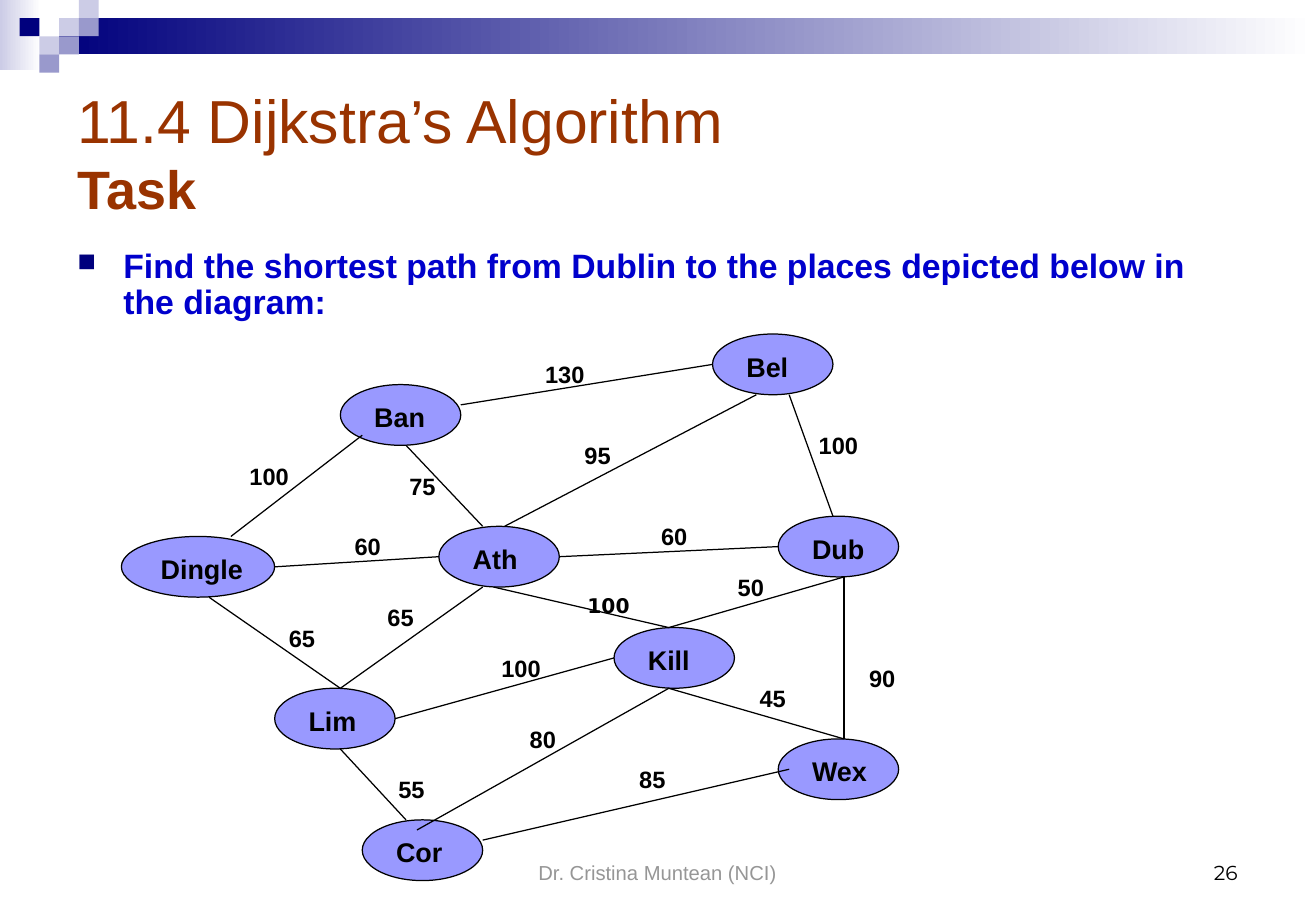
from dataclasses import dataclass

from lxml import etree
from pptx import Presentation
from pptx.dml.color import RGBColor
from pptx.enum.shapes import MSO_CONNECTOR, MSO_SHAPE
from pptx.enum.text import MSO_ANCHOR, PP_ALIGN
from pptx.oxml.ns import qn
from pptx.shapes.autoshape import Shape
from pptx.slide import Slide
from pptx.text.text import TextFrame
from pptx.util import Cm, Pt

RECTANGLE, OVAL = MSO_SHAPE.RECTANGLE, MSO_SHAPE.OVAL
STRAIGHT = MSO_CONNECTOR.STRAIGHT
LEFT, CENTER, RIGHT = PP_ALIGN.LEFT, PP_ALIGN.CENTER, PP_ALIGN.RIGHT
TOP, MIDDLE, BOTTOM = MSO_ANCHOR.TOP, MSO_ANCHOR.MIDDLE, MSO_ANCHOR.BOTTOM

COLORS = {
    "navy": "00007D",
    "lavender": "9999CC",
    "pale": "CCCCE6",
    "white": "FFFFFF",
    "black": "000000",
    "gray": "969696",
    "title": "993300",
    "task": "0000CC",
    "town": "9999FF",
}

TILE_WIDTH, TILE_HEIGHT = Cm(1.65) / 4, Cm(0.38)
GRAPH_LEFT = Cm(2.54)
COLUMN, ROW = Cm(2.29) / 10, Cm(2.54) / 12
TOWN_ROWS, WEIGHT_COLUMNS = 6, 7
LINE_WIDTH = Pt(0.74)


@dataclass(frozen=True)
class Tile:
    column: int
    row: int
    color: str


@dataclass(frozen=True)
class Town:
    name: str
    column: int
    row: int
    columns: int = 11
    indent: float = 2


@dataclass(frozen=True)
class Road:
    start: tuple[int, int]
    end: tuple[int, int]
    distance: int
    label: tuple[int, int]
    font: str = "Arial"
    size: int = 14


TILES = [
    Tile(3, 1, "pale"),
    Tile(4, 0, "pale"),
    Tile(4, 1, "lavender"),
    Tile(2, 2, "pale"),
    Tile(1, 1, "navy"),
    Tile(3, 2, "lavender"),
    Tile(2, 3, "lavender"),
]

TOWNS = [
    Town("Dub", 60, 51),
    Town("Bel", 54, 33),
    Town("Wex", 60, 73),
    Town("Kill", 45, 62),
    Town("Ath", 29, 52),
    Town("Cor", 22, 81),
    Town("Dingle", 0, 53, 14, 2.5),
    Town("Ban", 20, 38),
    Town("Lim", 14, 68),
]

ROADS = [
    Road((65, 51), (61, 39), 100, (62, 42)),
    Road((31, 40), (54, 36), 130, (37, 35)),
    Road((58, 39), (35, 52), 95, (40, 43)),
    Road((22, 43), (10, 53), 100, (10, 45)),
    Road((26, 44), (33, 52), 75, (24, 46)),
    Road((8, 59), (20, 68), 65, (13, 61)),
    Road((33, 58), (20, 68), 65, (22, 59)),
    Road((29, 55), (14, 56), 60, (19, 52)),
    Road((60, 54), (40, 55), 60, (47, 51)),
    Road((66, 57), (50, 62), 50, (54, 56)),
    Road((45, 65), (25, 71), 100, (33, 64)),
    Road((50, 62), (34, 58), 100, (41, 58), "DejaVu Sans", 12),
    Road((66, 73), (50, 68), 45, (56, 67)),
    Road((50, 68), (27, 82), 80, (35, 71)),
    Road((61, 76), (33, 83), 85, (45, 75)),
    Road((66, 57), (66, 73), 90, (66, 65)),
    Road((20, 74), (26, 81), 55, (23, 76)),
]


def rgb(name: str) -> RGBColor:
    return RGBColor.from_string(COLORS[name])


def graph_point(column: float, row: float) -> tuple[int, int]:
    return round(GRAPH_LEFT + column * COLUMN), round(row * ROW)


def add_plain_shape(page: Slide, kind: MSO_SHAPE, left: float, top: float,
                    width: float, height: float, color: str) -> Shape:
    shape = page.shapes.add_shape(kind, *map(round, (left, top, width, height)))
    shape.shadow.inherit = False
    shape.fill.solid()
    shape.fill.fore_color.rgb = rgb(color)
    shape.line.fill.background()
    return shape


def add_fade(page: Slide, left: float, top: float, width: float, height: float, color: str) -> None:
    fill = add_plain_shape(page, RECTANGLE, left, top, width, height, color).fill
    fill.gradient()
    fill.gradient_angle = 0
    for stop, name in zip(fill.gradient_stops, (color, "white")):
        stop.color.rgb = rgb(name)


def add_text(page: Slide, text: str, left: float, top: float, width: float, height: float,
             size: int, color: str = "black", font: str = "Arial", bold: bool = False,
             align: PP_ALIGN = LEFT, anchor: MSO_ANCHOR = TOP) -> TextFrame:
    box = page.shapes.add_textbox(*map(round, (left, top, width, height)))
    frame = box.text_frame
    frame.word_wrap = True
    frame.vertical_anchor = anchor
    para = frame.paragraphs[0]
    para.text = text
    para.alignment = align
    para.font.name = font
    para.font.size = Pt(size)
    para.font.bold = bold
    para.font.color.rgb = rgb(color)
    return frame


def add_square_bullet(frame: TextFrame) -> None:
    para = frame.paragraphs[0]
    para.line_spacing = 0.9
    para.space_before = Pt(5)
    properties = para._p.get_or_add_pPr()
    properties.set("marL", str(Cm(0.96)))
    properties.set("indent", str(-Cm(0.96)))
    following = properties.find(qn("a:defRPr"))
    bullet_color = etree.Element(qn("a:buClr"))
    etree.SubElement(bullet_color, qn("a:srgbClr"), val=COLORS["navy"])
    bullet_size = etree.Element(qn("a:buSzPct"), val="75000")
    bullet = etree.Element(qn("a:buChar"), char="■")
    for element in (bullet_color, bullet_size, bullet):
        following.addprevious(element)


def add_town(page: Slide, town: Town) -> None:
    left, top = graph_point(town.column, town.row)
    oval = add_plain_shape(page, OVAL, left, top, town.columns * COLUMN, TOWN_ROWS * ROW, "town")
    oval.line.color.rgb = rgb("black")
    oval.line.width = LINE_WIDTH
    label_left, label_top = graph_point(town.column + town.indent, town.row + 1)
    label_width = (town.columns - town.indent) * COLUMN
    add_text(page, town.name, label_left, label_top, label_width, Cm(0.94), 16, bold=True)


def add_road(page: Slide, road: Road) -> None:
    line = page.shapes.add_connector(STRAIGHT, *graph_point(*road.start), *graph_point(*road.end))
    line.line.color.rgb = rgb("black")
    line.line.width = LINE_WIDTH
    etree.SubElement(line._element.spPr, qn("a:effectLst"))
    add_text(page, str(road.distance), *graph_point(*road.label), WEIGHT_COLUMNS * COLUMN,
             Cm(0.86), road.size, font=road.font, bold=True, align=CENTER)


deck = Presentation()
deck.slide_width, deck.slide_height = Cm(27.53), Cm(19.05)
page = deck.slides.add_slide(deck.slide_layouts[6])

add_fade(page, 0, 0, Cm(0.86), Cm(1.47), "pale")
add_fade(page, 3 * TILE_WIDTH, TILE_HEIGHT, Cm(26.26), 2 * TILE_HEIGHT, "navy")
for tile in TILES:
    add_plain_shape(page, RECTANGLE, tile.column * TILE_WIDTH, tile.row * TILE_HEIGHT,
                    TILE_WIDTH, TILE_HEIGHT, tile.color)

add_text(page, "Dr. Cristina Muntean (NCI)", Cm(9.4), Cm(17.35), Cm(8.71), Cm(1.27), 12,
         "gray", align=CENTER, anchor=BOTTOM)
add_text(page, "26", Cm(19.71), Cm(17.35), Cm(6.43), Cm(1.27), 12,
         font="Montserrat", align=RIGHT, anchor=BOTTOM)

title = add_text(page, "11.4 Dijkstra’s Algorithm", Cm(1.37), Cm(1.27), Cm(24.77), Cm(3.81),
                 36, "title", anchor=MIDDLE).paragraphs[0]
title.add_line_break()
span = title.add_run()
span.text = "Task"
span.font.size = Pt(32)
span.font.bold = True

task = add_text(page, "Find the shortest path from Dublin to the places depicted below in the diagram:",
                Cm(1.37), Cm(5.08), Cm(24.77), Cm(1.91), 20, "task", bold=True)
add_square_bullet(task)

for town in TOWNS:
    add_town(page, town)
for road in ROADS:
    add_road(page, road)

deck.save("out.pptx")
